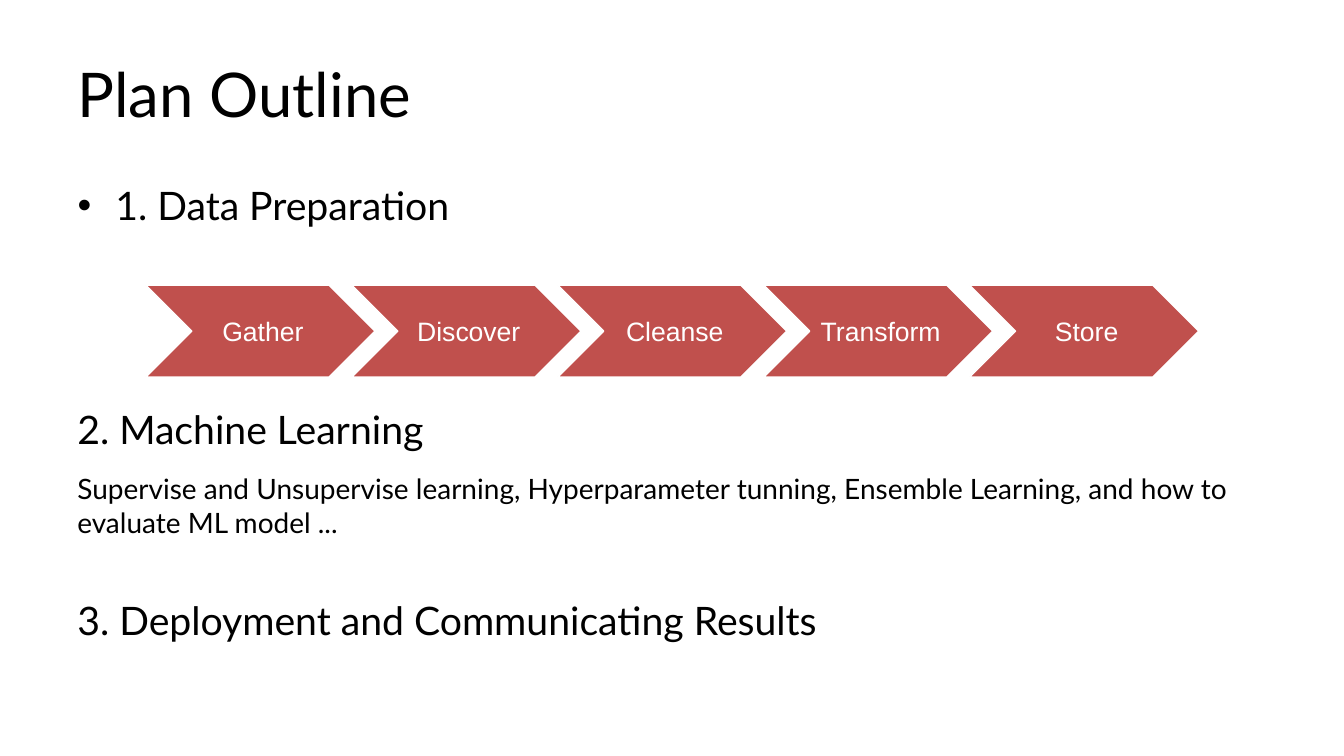
from dataclasses import dataclass

from lxml.etree import SubElement
from pptx import Presentation
from pptx.dml.color import RGBColor
from pptx.enum.shapes import MSO_SHAPE
from pptx.enum.text import MSO_ANCHOR, MSO_AUTO_SIZE, PP_ALIGN
from pptx.oxml.ns import qn
from pptx.util import Cm, Pt


@dataclass(frozen=True)
class Theme:
    text_font: str = "Lato"
    step_font: str = "Arial"
    black: RGBColor = RGBColor(0, 0, 0)
    white: RGBColor = RGBColor(255, 255, 255)
    red: RGBColor = RGBColor(0xC0, 0x50, 0x4D)
    title_size: Pt = Pt(44)
    heading_size: Pt = Pt(28)
    detail_size: Pt = Pt(20)
    step_size: Pt = Pt(19)


theme = Theme()


def write(box, text, align, anchor, **font_values):
    """Fill a shape with one wrapped paragraph in the given font values."""
    frame = box.text_frame
    frame.text = text
    frame.word_wrap = True
    frame.auto_size = MSO_AUTO_SIZE.NONE
    frame.vertical_anchor = anchor
    para = frame.paragraphs[0]
    para.alignment = align
    para.space_before = Pt(0)
    font = para.runs[0].font
    font.color.rgb = font_values.pop("color")
    for name, value in font_values.items():
        setattr(font, name, value)


def place(box, top, height):
    box.left, box.top, box.width, box.height = Cm(1.7), Cm(top), Cm(30.48), Cm(height)


deck = Presentation()
deck.slide_width, deck.slide_height = Cm(33.87), Cm(19.05)
page = deck.slides.add_slide(deck.slide_layouts[1])

# Title
title = page.shapes.title
place(title, 0.76, 3.18)
write(title, "Plan Outline", PP_ALIGN.LEFT, MSO_ANCHOR.MIDDLE,
      name=theme.text_font, size=theme.title_size, color=theme.black)

# Plan stages: the first is the body placeholder, the others are text boxes
body = page.placeholders[1]
properties = body.text_frame.paragraphs[0]._p.get_or_add_pPr()
properties.set("marL", "0")
properties.set("indent", "0")
SubElement(properties, qn("a:buNone"))

stages = [
    ("1. Data Preparation", 4.45, 1.65, theme.heading_size),
    ("2. Machine Learning", 10.08, 1.65, theme.heading_size),
    ("Supervise and Unsupervise learning, Hyperparameter tunning, "
     "Ensemble Learning, and how to evaluate ML model ...", 11.76, 3.07, theme.detail_size),
    ("3. Deployment and Communicating Results", 14.91, 1.65, theme.heading_size),
]
for number, (text, top, height, size) in enumerate(stages):
    box = page.shapes.add_textbox(0, 0, 0, 0) if number else body
    place(box, top, height)
    write(box, text, PP_ALIGN.LEFT, MSO_ANCHOR.TOP,
          name=theme.text_font, size=size, color=theme.black)

# Data preparation steps
step_left, step_pitch = 3.68, 5.19
margins = {"margin_left": Cm(0.2), "margin_right": Cm(0.08),
           "margin_top": Cm(0.08), "margin_bottom": Cm(0.08)}
for number, label in enumerate(["Gather", "Discover", "Cleanse", "Transform", "Store"]):
    chevron = page.shapes.add_shape(
        MSO_SHAPE.CHEVRON, Cm(step_left + number * step_pitch), Cm(7.19), Cm(5.77), Cm(2.31))
    chevron.shadow.inherit = False
    chevron.fill.solid()
    chevron.fill.fore_color.rgb = theme.red
    chevron.line.color.rgb = theme.white
    chevron.line.width = Pt(1)
    write(chevron, label, PP_ALIGN.CENTER, MSO_ANCHOR.MIDDLE,
          name=theme.step_font, size=theme.step_size, color=theme.white)
    for name, value in margins.items():
        setattr(chevron.text_frame, name, value)

deck.save("out.pptx")
